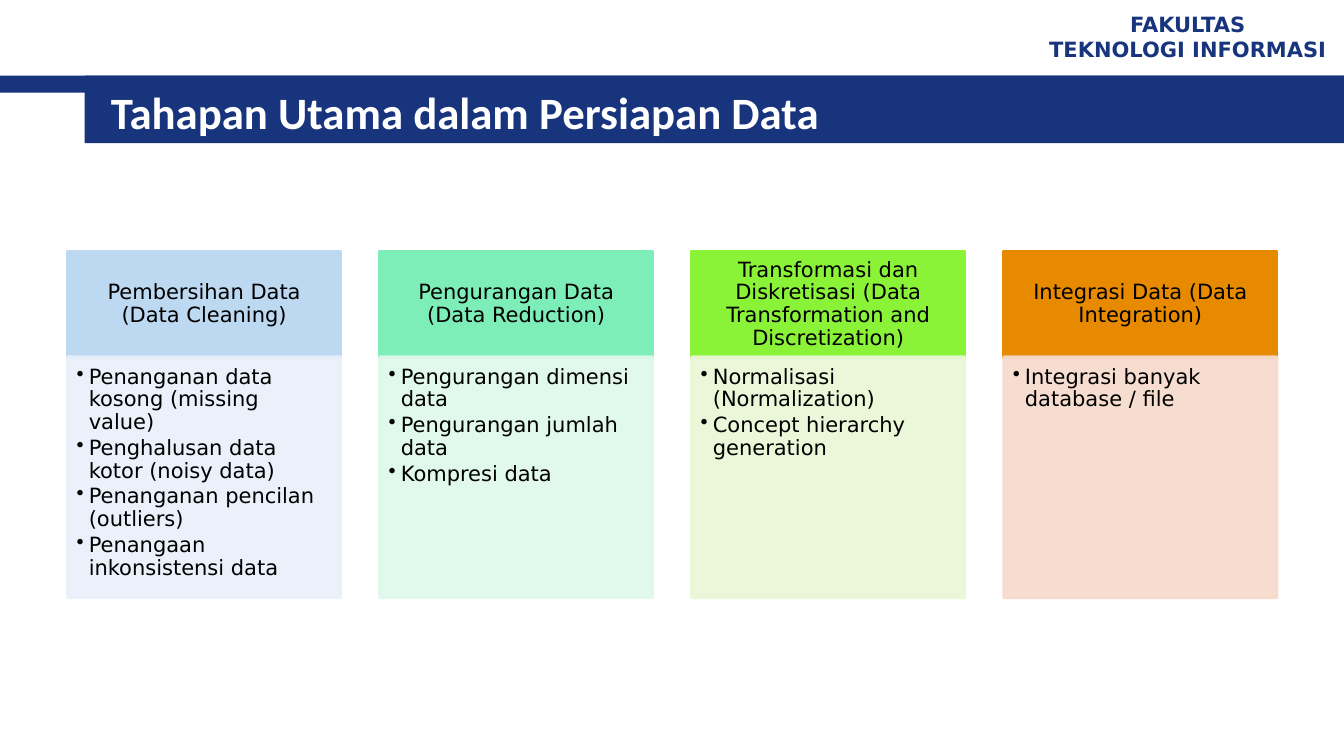
from dataclasses import dataclass

from lxml.etree import SubElement
from pptx import Presentation
from pptx.dml.color import RGBColor
from pptx.enum.shapes import MSO_SHAPE
from pptx.enum.text import MSO_ANCHOR, PP_ALIGN
from pptx.oxml.ns import qn
from pptx.shapes.autoshape import Shape
from pptx.slide import Slide
from pptx.text.text import _Paragraph as Paragraph
from pptx.util import Inches, Pt


@dataclass(frozen=True)
class Theme:
    navy: str = "17347D"
    white: str = "FFFFFF"
    black: str = "000000"
    title_font: str = "Calibri"
    body_font: str = "DejaVu Sans"
    title_size: float = 32
    body_size: float = 15
    border: float = 2
    body_opacity: int = 90


@dataclass(frozen=True)
class Box:
    left: float
    top: float
    width: float
    height: float


@dataclass(frozen=True)
class Stage:
    heading: str
    heading_color: str
    body_color: str
    steps: tuple[str, ...]


THEME = Theme()

STAGES = (
    Stage("Pembersihan Data (Data Cleaning)", "BDD8F1", "E8F0FA", (
        "Penanganan data kosong (missing value)",
        "Penghalusan data kotor (noisy data)",
        "Penanganan pencilan (outliers)",
        "Penangaan inkonsistensi data",
    )),
    Stage("Pengurangan Data (Data Reduction)", "7EEEB8", "DEF8EA", (
        "Pengurangan dimensi data",
        "Pengurangan jumlah data",
        "Kompresi data",
    )),
    Stage("Transformasi dan Diskretisasi (Data Transformation and Discretization)",
          "8AF337", "E9F7D5", (
              "Normalisasi (Normalization)",
              "Concept hierarchy generation",
          )),
    Stage("Integrasi Data (Data Integration)", "E78A00", "F6DACB", (
        "Integrasi banyak database / file",
    )),
)

# Column grid
FIRST_LEFT, COLUMN_STEP, COLUMN_WIDTH = 0.67, 3.095, 2.71
HEADING_TOP, HEADING_HEIGHT = 2.49, 1.06
BODY_TOP, BODY_HEIGHT = 3.54, 2.39


def add_panel(slide: Slide, box: Box, color: str, border: float = 0,
              opacity: int = 100) -> Shape:
    panel = slide.shapes.add_shape(
        MSO_SHAPE.RECTANGLE, Inches(box.left), Inches(box.top),
        Inches(box.width), Inches(box.height))
    panel.shadow.inherit = False
    fills = [panel.fill]
    if border:
        panel.line.width = Pt(border)
        fills.append(panel.line.fill)
    else:
        panel.line.fill.background()
    for fill in fills:
        fill.solid()
        fill.fore_color.rgb = RGBColor.from_string(color)
    if opacity < 100:
        for tint in panel._element.spPr.iter(qn("a:srgbClr")):
            SubElement(tint, qn("a:alpha"), val=str(opacity * 1000))
    return panel


def add_bullet(paragraph: Paragraph) -> None:
    properties = paragraph._p.get_or_add_pPr()
    properties.set("marL", str(Inches(0.12)))
    properties.set("indent", str(Inches(-0.12)))
    SubElement(properties, qn("a:buChar"), char="•")


def write(shape: Shape, lines: tuple[str, ...], color: str, *,
          font: str = THEME.body_font, size: float = THEME.body_size,
          bold: bool = False, align: PP_ALIGN = PP_ALIGN.LEFT,
          anchor: MSO_ANCHOR = MSO_ANCHOR.MIDDLE,
          insets: tuple[float, float, float, float] = (0.1, 0.05, 0.1, 0.05),
          spacing: float = 1, after: float = 0, bullets: bool = False) -> None:
    frame = shape.text_frame
    frame.word_wrap = True
    frame.vertical_anchor = anchor
    (frame.margin_left, frame.margin_top,
     frame.margin_right, frame.margin_bottom) = map(Inches, insets)
    for index, line in enumerate(lines):
        paragraph = frame.add_paragraph() if index else frame.paragraphs[0]
        paragraph.text = line
        if bullets:
            add_bullet(paragraph)
        paragraph.alignment = align
        paragraph.line_spacing = spacing
        paragraph.space_after = Pt(after)
        paragraph.font.name = font
        paragraph.font.size = Pt(size)
        paragraph.font.bold = bold
        paragraph.font.color.rgb = RGBColor.from_string(color)


def add_label(slide: Slide, box: Box) -> Shape:
    return slide.shapes.add_textbox(
        Inches(box.left), Inches(box.top), Inches(box.width), Inches(box.height))


def add_banner(slide: Slide) -> None:
    add_panel(slide, Box(0, 0.75, 13.33, 0.17), THEME.navy)
    add_panel(slide, Box(0.84, 0.75, 12.49, 0.67), THEME.navy)
    faculty = add_label(slide, Box(10.23, 0.05, 3.1, 0.62))
    write(faculty, ("FAKULTAS", "TEKNOLOGI INFORMASI"), THEME.navy,
          bold=True, align=PP_ALIGN.CENTER)
    title = add_label(slide, Box(1, 0.8, 11.89, 0.62))
    write(title, ("Tahapan Utama dalam Persiapan Data",), THEME.white,
          font=THEME.title_font, size=THEME.title_size, bold=True)


def add_stage(slide: Slide, stage: Stage, left: float) -> None:
    heading = add_panel(slide, Box(left, HEADING_TOP, COLUMN_WIDTH, HEADING_HEIGHT),
                        stage.heading_color, THEME.border)
    write(heading, (stage.heading,), THEME.black, align=PP_ALIGN.CENTER,
          insets=(0.12, 0.07, 0.12, 0.07), spacing=0.9)
    steps = add_panel(slide, Box(left, BODY_TOP, COLUMN_WIDTH, BODY_HEIGHT),
                      stage.body_color, THEME.border, THEME.body_opacity)
    write(steps, stage.steps, THEME.black, anchor=MSO_ANCHOR.TOP,
          insets=(0.09, 0.09, 0.12, 0.13), spacing=0.9, after=2.25, bullets=True)


def main() -> None:
    deck = Presentation()
    deck.slide_width, deck.slide_height = Inches(13.33), Inches(7.5)
    slide = deck.slides.add_slide(deck.slide_layouts[6])

    # Faculty name and title banner
    add_banner(slide)

    # Four stages side by side
    for column, stage in enumerate(STAGES):
        add_stage(slide, stage, FIRST_LEFT + column * COLUMN_STEP)

    deck.save("out.pptx")


if __name__ == "__main__":
    main()
